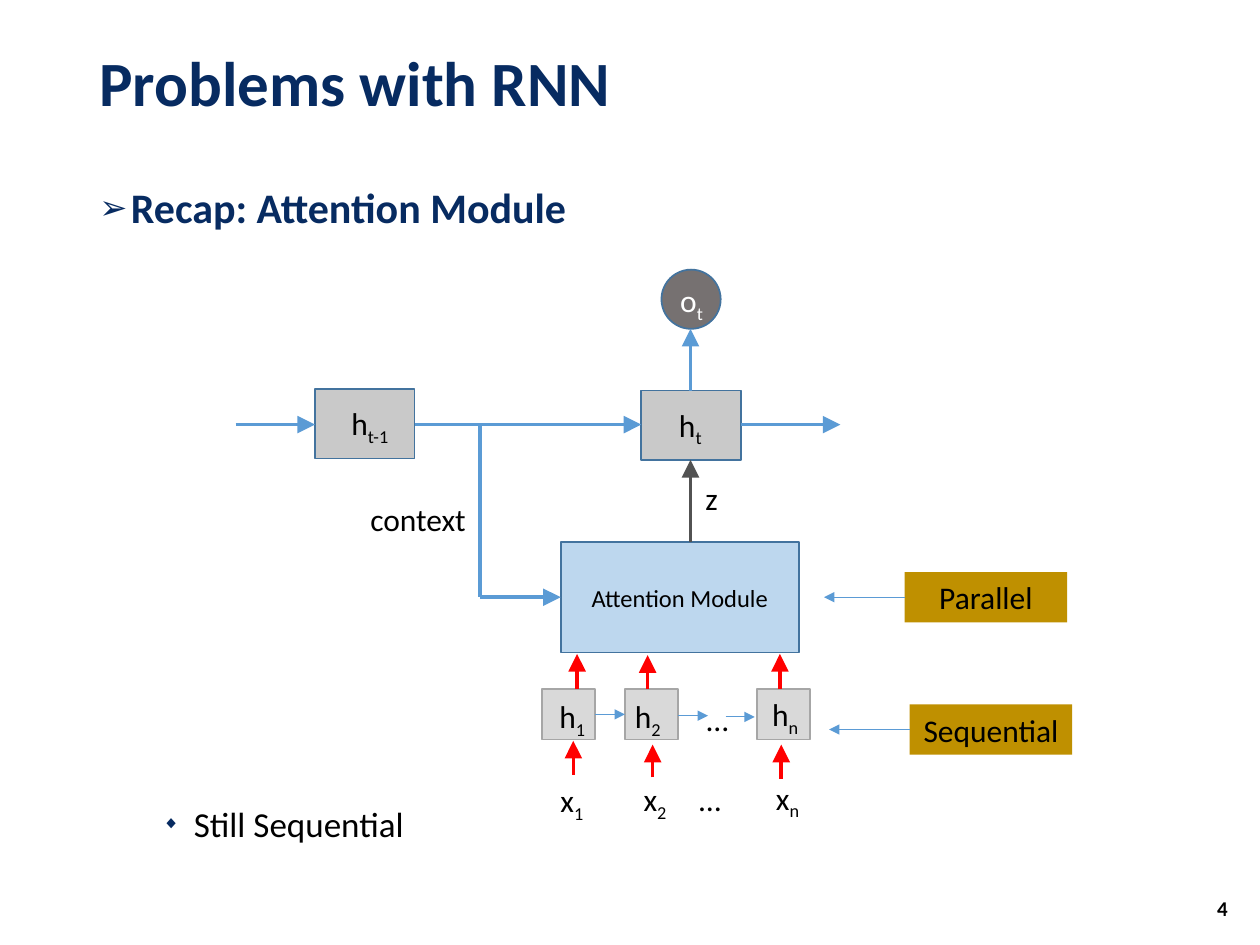
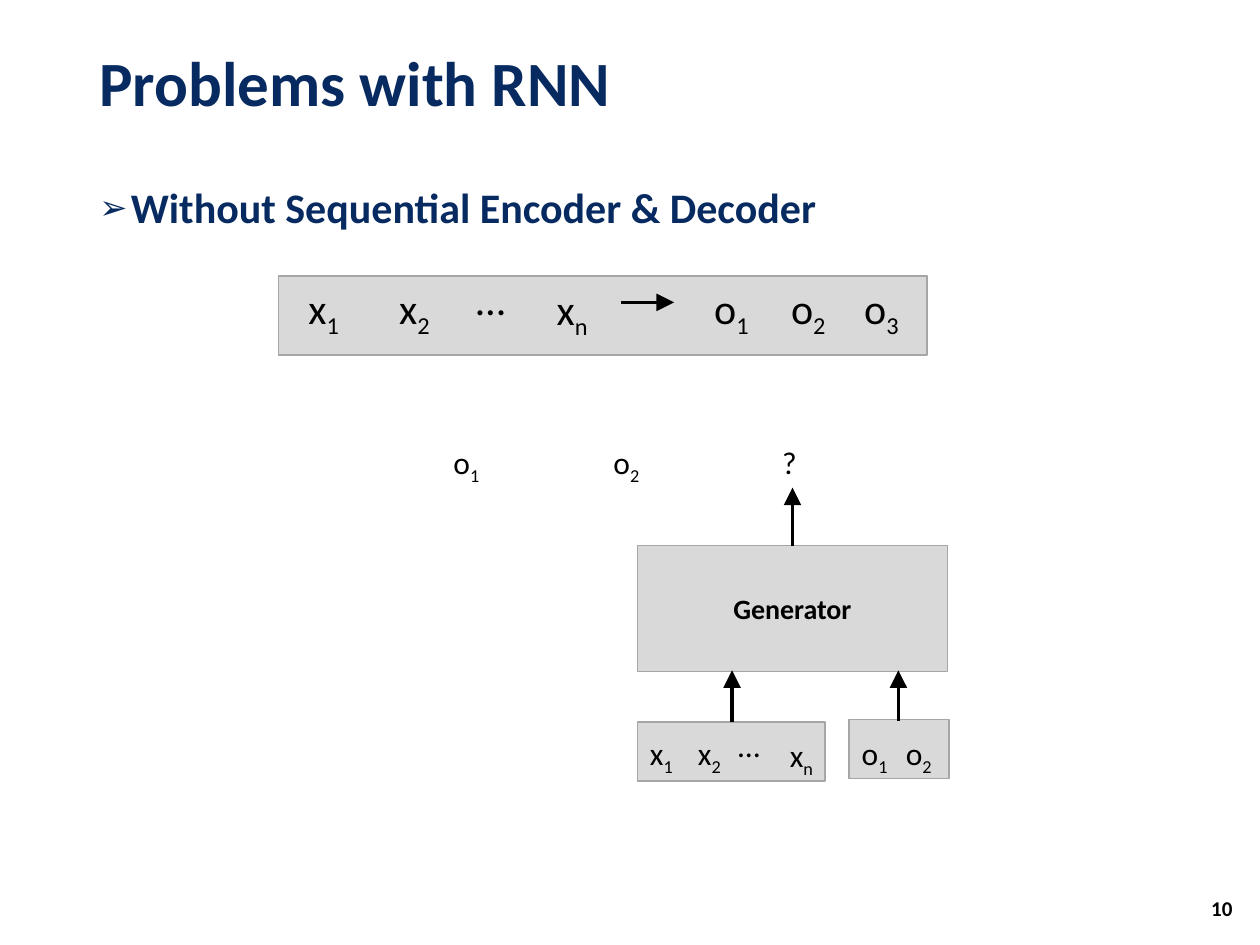
from lxml import etree
from pptx import Presentation
from pptx.dml.color import RGBColor
from pptx.enum.shapes import MSO_CONNECTOR, MSO_SHAPE
from pptx.enum.text import MSO_ANCHOR, MSO_AUTO_SIZE, PP_ALIGN
from pptx.oxml.ns import qn
from pptx.util import Inches, Pt

RECTANGLE, OVAL = MSO_SHAPE.RECTANGLE, MSO_SHAPE.OVAL
STRAIGHT = MSO_CONNECTOR.STRAIGHT
TOP, MIDDLE = MSO_ANCHOR.TOP, MSO_ANCHOR.MIDDLE
LEFT, CENTER, RIGHT = PP_ALIGN.LEFT, PP_ALIGN.CENTER, PP_ALIGN.RIGHT
GROW = MSO_AUTO_SIZE.SHAPE_TO_FIT_TEXT

FONT = "Calibri"
COLORS = {
    "navy": "072B61", "black": "000000", "white": "FFFFFF", "blue": "5B9BD5",
    "edge": "43739E", "state": "C9C9C9", "output": "767171", "module": "BDD7EE",
    "gold": "BF9000", "red": "FF0000", "slate": "525252",
    "cell": "D9D9D9", "cell edge": "A6A6A6",
}

# Shared layout: left, top, width, height
TITLE = "Problems with RNN"
TITLE_BOX = (0.69, 0.18, 8.62, 1.01)
BODY_BOX = (0.69, 1.44, 8.62, 5.44)
NUMBER_BOX = (9.36, 7.01, 0.52, 0.4)

# Bullet levels: character, its size in percent, left indent and font values
BULLETS = {
    "heading": ("➢", 80, 0.25, {"size": 24, "color": "navy", "bold": True}),
    "point": ("◆", 50, 0.75, {"size": 20, "color": "black"}),
}

# Box styles: preset, fill, line
BOX_STYLES = {
    "state": (RECTANGLE, "state", "edge"),
    "output": (OVAL, "output", "edge"),
    "module": (RECTANGLE, "module", "edge"),
    "cell": (RECTANGLE, "cell", "cell edge"),
    "tag": (RECTANGLE, "gold", None),
}

# Arrow styles: colour, width, head size
ARROW_STYLES = {
    "flow": ("blue", 2, "lg"),
    "stem": ("blue", 2, None),
    "thin": ("blue", 0.5, "med"),
    "input": ("red", 2, "lg"),
    "result": ("slate", 2, "lg"),
    "generate": ("black", 2, "lg"),
}

# Encoder columns: index, cell left, h label, h arrow (x, end),
# x label, x arrow (x, start, end); h arrows start at the cell top
CELL_TOP = 5.47
ENCODER = [
    ("1", 4.30, (4.34, 5.48), (4.58, 5.19), (4.35, 6.15), (4.55, 6.15, 5.88)),
    ("2", 4.96, (4.94, 5.48), (5.14, 5.20), (5.01, 6.14), (5.18, 6.17, 5.91)),
    ("n", 6.01, (6.03, 5.47), (6.19, 5.19), (6.06, 6.13), (6.20, 6.18, 5.91)),
]

# Boxes: style, place, text, font values
# Arrows: style, start, end
# Labels: text, subscript, left, top, width, size, colour
ATTENTION = {
    "number": "4 ",
    "bullets": [("heading", "Recap: Attention Module", 0),
                ("point", "Still Sequential", 328)],
    "boxes": [
        ("state", (2.5, 3.09, 0.79, 0.55), "", {}),
        ("state", (5.09, 3.1, 0.79, 0.55), "", {}),
        ("output", (5.25, 2.14, 0.47, 0.47), "", {}),
        ("module", (4.45, 4.3, 1.89, 0.88), "Attention Module", {"size": 14}),
        ("tag", (7.18, 4.54, 1.29, 0.4), "Parallel", {"size": 18}),
        ("tag", (7.22, 5.59, 1.29, 0.4), "Sequential", {"size": 18}),
    ] + [("cell", (column[1], CELL_TOP, 0.42, 0.4), "", {}) for column in ENCODER],
    "arrows": [
        ("flow", (1.87, 3.37), (2.5, 3.37)),
        ("flow", (3.29, 3.37), (5.09, 3.37)),
        ("flow", (5.88, 3.37), (6.67, 3.37)),
        ("flow", (5.48, 3.1), (5.48, 2.61)),
        ("stem", (3.81, 3.37), (3.81, 4.74)),
        ("flow", (3.81, 4.74), (4.45, 4.74)),
        ("result", (5.48, 4.3), (5.48, 3.65)),
        ("thin", (7.18, 4.74), (6.54, 4.74)),
        ("thin", (7.22, 5.79), (6.58, 5.79)),
        ("thin", (4.72, 5.67), (4.96, 5.67)),
        ("thin", (5.38, 5.68), (5.62, 5.68)),
        ("thin", (5.76, 5.69), (5.99, 5.69)),
    ] + [("input", (x, CELL_TOP), (x, end)) for _, _, _, (x, end), _, _ in ENCODER]
      + [("input", (x, start), (x, end)) for *_, (x, start, end) in ENCODER],
    "labels": [
        ("h", "t-1", 2.69, 3.16, 0.52, 18, "black"),
        ("h", "t", 5.29, 3.17, 0.38, 18, "black"),
        ("o", "t", 5.3, 2.18, 0.4, 18, "white"),
        ("context", "", 2.84, 3.92, 0.99, 18, "black"),
        ("z", "", 5.5, 3.75, 0.31, 18, "black"),
        ("…", "", 5.51, 5.51, 0.45, 18, "black"),
        ("…", "", 5.45, 6.14, 0.45, 18, "black"),
    ] + [("h", column[0], *column[2], 0.42, 18, "black") for column in ENCODER]
      + [("x", column[0], *column[4], 0.4, 18, "black") for column in ENCODER],
}

GENERATOR = {
    "number": "10",
    "bullets": [("heading", "Without Sequential Encoder & Decoder", 0)],
    "boxes": [
        ("cell", (2.21, 2.19, 5.15, 0.63), "", {}),
        ("cell", (5.06, 4.33, 2.46, 1), "Generator", {"size": 16, "bold": True}),
        ("cell", (5.06, 5.73, 1.49, 0.47), "", {}),
        ("cell", (6.74, 5.71, 0.79, 0.47), "", {}),
    ],
    "arrows": [
        ("generate", (4.93, 2.4), (5.35, 2.4)),
        ("generate", (6.29, 4.33), (6.29, 3.87)),
        ("generate", (5.81, 5.73), (5.81, 5.32)),
        ("generate", (7.13, 5.72), (7.13, 5.32)),
    ],
    "labels": [
        # Sequence to generate
        ("x", "1", 2.35, 2.19, 0.46, 24, "black"),
        ("x", "2", 3.07, 2.19, 0.46, 24, "black"),
        ("…", "", 3.68, 2.12, 0.44, 24, "black"),
        ("x", "n", 4.32, 2.2, 0.46, 24, "black"),
        ("o", "1", 5.57, 2.19, 0.49, 24, "black"),
        ("o", "2", 6.18, 2.19, 0.49, 24, "black"),
        ("o", "3", 6.76, 2.19, 0.49, 24, "black"),
        # Outputs so far
        ("o", "1", 3.5, 3.47, 0.42, 18, "black"),
        ("o", "2", 4.77, 3.47, 0.42, 18, "black"),
        ("?", "", 6.11, 3.47, 0.32, 18, "black"),
        # Generator inputs
        ("x", "1", 5.06, 5.78, 0.41, 18, "black"),
        ("x", "2", 5.44, 5.78, 0.41, 18, "black"),
        ("…", "", 5.76, 5.71, 0.45, 18, "black"),
        ("x", "n", 6.17, 5.79, 0.41, 18, "black"),
        ("o", "1", 6.74, 5.78, 0.42, 18, "black"),
        ("o", "2", 7.09, 5.78, 0.42, 18, "black"),
    ],
}


def rgb(name):
    return RGBColor.from_string(COLORS[name])


def add_run(paragraph, text, size=18, color="black", bold=False):
    run = paragraph.add_run()
    run.text = text
    values = {"name": FONT, "size": Pt(size), "bold": bold}
    for attribute, value in values.items():
        setattr(run.font, attribute, value)
    run.font.color.rgb = rgb(color)
    return run


def add_text_box(slide, place, anchor=TOP, align=LEFT, wrap=True):
    box = slide.shapes.add_textbox(*map(Inches, place))
    frame = box.text_frame
    frame.word_wrap = wrap
    frame.vertical_anchor = anchor
    paragraph = frame.paragraphs[0]
    paragraph.alignment = align
    return frame, paragraph


def add_bullet(paragraph, level, text, space):
    character, percent, indent, font = BULLETS[level]
    paragraph.line_spacing = 0.9
    if space:
        paragraph.space_before = Pt(space)
    properties = paragraph._p.get_or_add_pPr()
    properties.set("marL", str(Inches(indent)))
    properties.set("indent", str(-Inches(0.25)))
    color = etree.SubElement(properties, qn("a:buClr"))
    etree.SubElement(color, qn("a:srgbClr"), val=COLORS["navy"])
    etree.SubElement(properties, qn("a:buSzPct"), val=str(percent * 1000))
    etree.SubElement(properties, qn("a:buFont"), typeface="Arial")
    etree.SubElement(properties, qn("a:buChar"), char=character)
    add_run(paragraph, text, **font)


def add_box(slide, style, place, text, font):
    preset, fill, line = BOX_STYLES[style]
    shape = slide.shapes.add_shape(preset, *map(Inches, place))
    shape.shadow.inherit = False
    shape.fill.solid()
    shape.fill.fore_color.rgb = rgb(fill)
    if line:
        shape.line.color.rgb = rgb(line)
        shape.line.width = Pt(1)
    else:
        shape.line.fill.background()
    if text:
        shape.text_frame.vertical_anchor = MIDDLE
        paragraph = shape.text_frame.paragraphs[0]
        paragraph.alignment = CENTER
        add_run(paragraph, text, **font)


def add_arrow(slide, style, start, end):
    color, width, head = ARROW_STYLES[style]
    connector = slide.shapes.add_connector(STRAIGHT, *map(Inches, start + end))
    connector.line.color.rgb = rgb(color)
    connector.line.width = Pt(width)
    if head:
        etree.SubElement(connector.line._get_or_add_ln(), qn("a:tailEnd"),
                         type="triangle", w=head, len=head)
    etree.SubElement(connector._element.spPr, qn("a:effectLst"))


def add_label(slide, text, subscript, left, top, width, size, color):
    height = 0.5 if size == 24 else 0.4
    frame, paragraph = add_text_box(slide, (left, top, width, height), wrap=False)
    frame.auto_size = GROW
    add_run(paragraph, text, size, color)
    if subscript:
        run = add_run(paragraph, subscript, size, color)
        run.font._element.set("baseline", "-25000")


def add_frame(slide, number, bullets):
    """Title, bulleted body and slide number."""
    _, paragraph = add_text_box(slide, TITLE_BOX, MIDDLE)
    paragraph.line_spacing = 0.9
    add_run(paragraph, TITLE, 36, "navy", True)
    frame, paragraph = add_text_box(slide, BODY_BOX)
    for index, bullet in enumerate(bullets):
        add_bullet(frame.add_paragraph() if index else paragraph, *bullet)
    _, paragraph = add_text_box(slide, NUMBER_BOX, MIDDLE, RIGHT)
    add_run(paragraph, number, 12, bold=True)


def main():
    presentation = Presentation()
    presentation.slide_width = Inches(10)
    presentation.slide_height = Inches(7.5)
    for content in (ATTENTION, GENERATOR):
        slide = presentation.slides.add_slide(presentation.slide_layouts[6])
        add_frame(slide, content["number"], content["bullets"])
        for box in content["boxes"]:
            add_box(slide, *box)
        for arrow in content["arrows"]:
            add_arrow(slide, *arrow)
        for label in content["labels"]:
            add_label(slide, *label)
    presentation.save("out.pptx")


if __name__ == "__main__":
    main()
